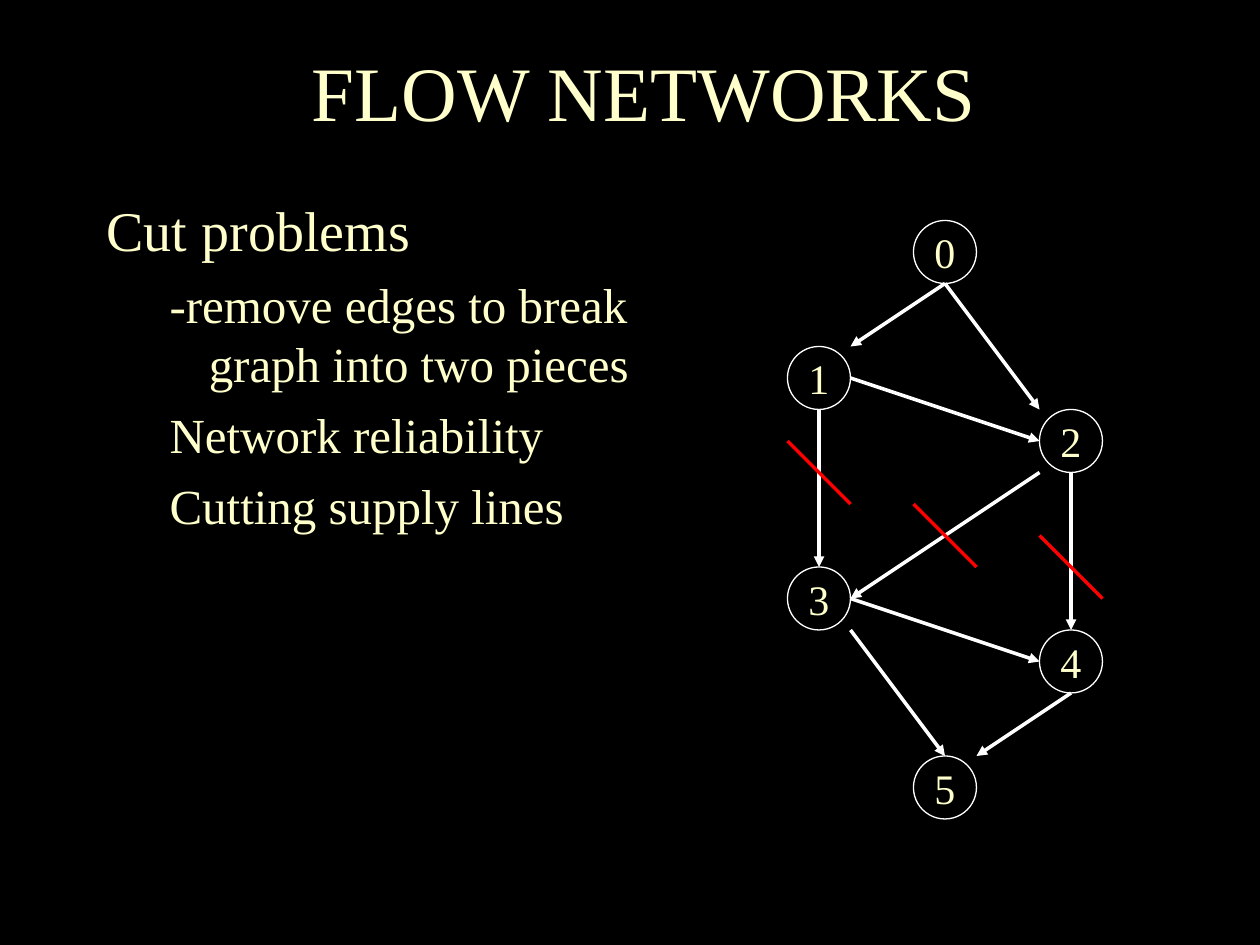
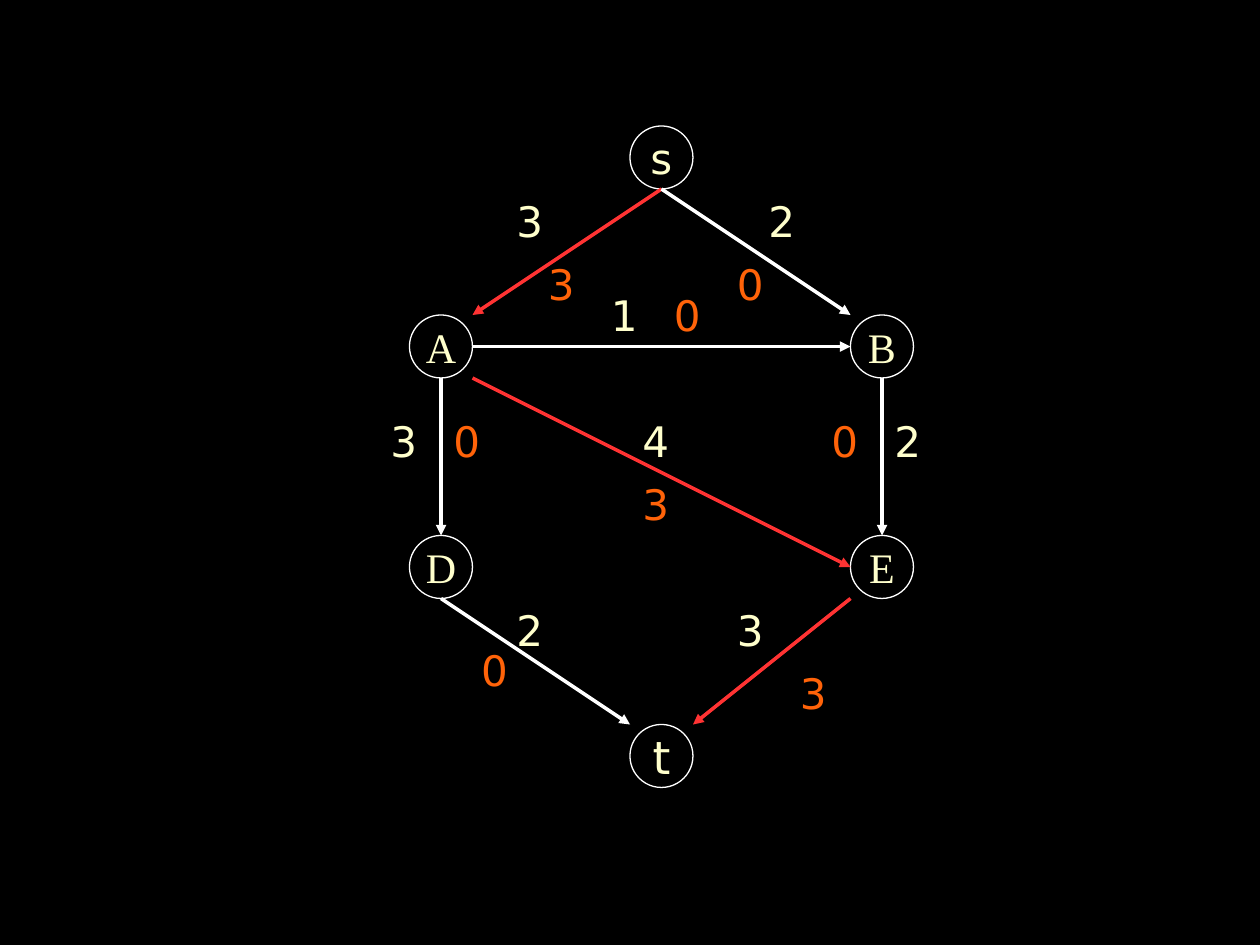
from dataclasses import dataclass
from lxml.etree import SubElement as Sub
from pptx import Presentation
from pptx.dml.color import RGBColor as RGB
from pptx.enum.shapes import MSO_CONNECTOR as Link, MSO_SHAPE as Form
from pptx.enum.text import MSO_ANCHOR as Anchor, PP_ALIGN as Align
from pptx.oxml.ns import qn
from pptx.util import Cm, Pt


@dataclass(frozen=True)
class Theme:
    back: RGB = RGB(0, 0, 0)
    text: RGB = RGB(0xFF, 0xFF, 0xCC)
    line: RGB = RGB(0xFF, 0xFF, 0xFF)
    path_line: RGB = RGB(0xFF, 0x33, 0x33)
    cut: RGB = RGB(0xFF, 0, 0)
    flow: RGB = RGB(0xFF, 0x63, 0x09)
    serif: str = "Times New Roman"
    sans: str = "DejaVu Sans"
    title: int = 44
    head: int = 32
    body: int = 28
    label: int = 24
    sink: int = 26


look = Theme()
inch = Cm(2.54)
side = 0.5
ports = {
    "top": (0.25, 0), "left": (0, 0.25), "base": (0.25, 0.5), "right": (0.5, 0.25),
    "nw": (0, 0), "ne": (0.5, 0), "sw": (0, 0.5), "se": (0.5, 0.5),
}


def style(para, size, font=look.serif, color=look.text):
    for run in para.runs:
        run.font.size = Pt(size)
        run.font.name = font
        run.font.color.rgb = color


def draw(page, start, end, color):
    line = page.shapes.add_connector(Link.STRAIGHT, *[int(v * inch) for v in (*start, *end)])
    line.line.color.rgb = color
    line.line.width = Cm(0)
    Sub(line.element.spPr, qn("a:effectLst"))
    return line


deck = Presentation()
deck.slide_width, deck.slide_height = Cm(25.4), Cm(19.05)
pages = [deck.slides.add_slide(deck.slide_layouts[6]) for _ in range(2)]
for page in pages:
    page.background.fill.solid()
    page.background.fill.fore_color.rgb = look.back
cuts, flows = pages

title = cuts.shapes.add_textbox(Cm(0.64), Cm(0.84), Cm(24.69), Cm(1.98)).text_frame
title.word_wrap = True
title.vertical_anchor = Anchor.MIDDLE
title.text = "FLOW NETWORKS"
title.paragraphs[0].alignment = Align.CENTER
style(title.paragraphs[0], look.title)

body = cuts.shapes.add_textbox(Cm(1.9), Cm(3.81), Cm(12.7), Cm(14.53)).text_frame
body.word_wrap = True
body.text = "\n".join([
    "Cut problems",
    "-remove edges to break graph into two pieces",
    "Network reliability",
    "Cutting supply lines",
])
for rank, para in enumerate(body.paragraphs):
    size, gap, left, hang = (look.body, 7, 2.06, 0.79) if rank else (look.head, 8, 0.94, 0.94)
    para.space_before = Pt(gap)
    props = para._p.get_or_add_pPr()
    props.set("marL", str(Cm(left)))
    props.set("indent", str(-Cm(hang)))
    style(para, size)

graphs = [
    (cuts, {
        "0": (7.25, 1.75), "1": (6.25, 2.75), "2": (8.25, 3.25),
        "3": (6.25, 4.5), "4": (8.25, 5), "5": (7.25, 6),
    }, [
        ("0", "base", "1", "ne", look.line),
        ("0", "base", "2", "nw", look.line),
        ("1", "right", "2", "left", look.line),
        ("1", "base", "3", "top", look.line),
        ("2", "sw", "3", "right", look.line),
        ("2", "base", "4", "top", look.line),
        ("3", "right", "4", "left", look.line),
        ("3", "se", "5", "top", look.line),
        ("4", "base", "5", "ne", look.line),
    ]),
    (flows, {
        "s": (5, 1), "A": (3.25, 2.5), "B": (6.75, 2.5),
        "D": (3.25, 4.25), "E": (6.75, 4.25), "t": (5, 5.75),
    }, [
        ("s", "base", "A", "ne", look.path_line),
        ("s", "base", "B", "nw", look.line),
        ("A", "right", "B", "left", look.line),
        ("A", "base", "D", "top", look.line),
        ("A", "se", "E", "left", look.path_line),
        ("B", "base", "E", "top", look.line),
        ("D", "base", "t", "nw", look.line),
        ("E", "sw", "t", "ne", look.path_line),
    ]),
]

for page, spots, edges in graphs:
    nodes = {}
    for name, (x, y) in spots.items():
        node = page.shapes.add_shape(Form.OVAL, *[int(v * inch) for v in (x, y, side, side)])
        node.shadow.inherit = False
        node.fill.background()
        node.line.color.rgb = look.line
        node.line.width = Cm(0)
        frame = node.text_frame
        frame.word_wrap = False
        frame.vertical_anchor = Anchor.MIDDLE
        frame.text = name
        frame.paragraphs[0].alignment = Align.CENTER
        size = look.sink if name == "t" else look.label
        style(frame.paragraphs[0], size, look.sans if name in "st" else look.serif)
        nodes[name] = node
    for tail, out, head, into, color in edges:
        start, end = [
            [a + b for a, b in zip(spots[name], ports[port])]
            for name, port in ((tail, out), (head, into))
        ]
        edge = draw(page, start, end, color)
        if into == "top":
            edge.end_connect(nodes[head], 0)
        Sub(edge.element.spPr.find(qn("a:ln")), qn("a:tailEnd"), type="triangle")

for x, y in [(6.25, 3.5), (8.25, 4.25), (7.25, 4)]:
    draw(cuts, (x, y), (x + side, y + side), look.cut)

marks = {
    look.text: [
        ("3", 4, 1.5), ("2", 6, 1.5), ("1", 4.75, 2.25), ("3", 3, 3.25),
        ("4", 5, 3.25), ("2", 7, 3.25), ("2", 4, 4.75), ("3", 5.75, 4.75),
    ],
    look.flow: [
        ("3", 4.25, 2), ("0", 5.75, 2), ("0", 5.25, 2.25), ("0", 3.5, 3.25),
        ("3", 5, 3.75), ("0", 6.5, 3.25), ("0", 3.72, 5.07), ("3", 6.25, 5.25),
    ],
}
for color, items in marks.items():
    for text, x, y in items:
        frame = flows.shapes.add_textbox(*[int(v * inch) for v in (x, y, side, side)]).text_frame
        frame.word_wrap = True
        frame.text = text
        style(frame.paragraphs[0], look.label, look.sans, color)

deck.save("out.pptx")
